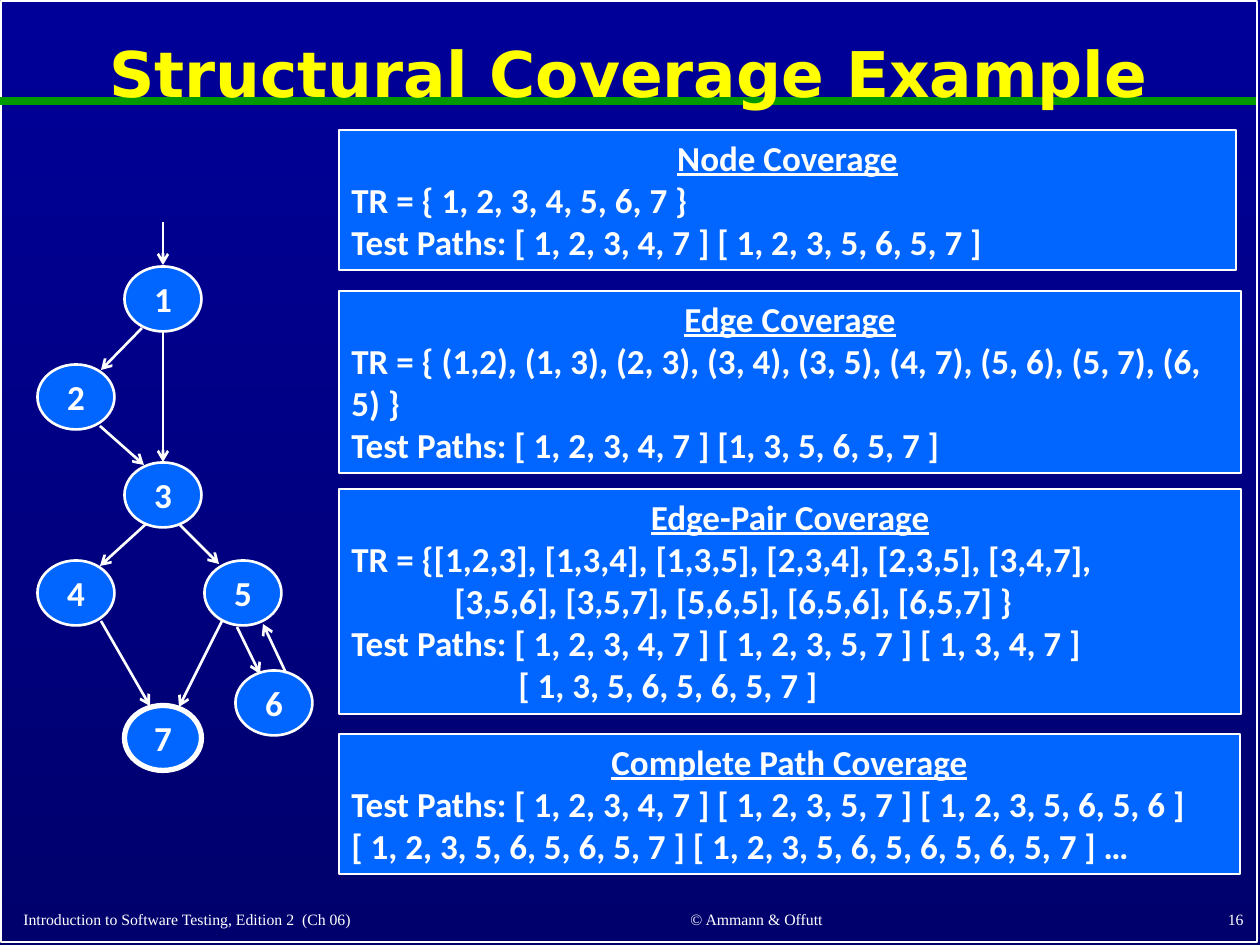
from lxml.etree import SubElement
from pptx import Presentation
from pptx.dml.color import RGBColor
from pptx.enum.shapes import MSO_CONNECTOR, MSO_SHAPE
from pptx.enum.text import MSO_ANCHOR, PP_ALIGN
from pptx.oxml.ns import qn
from pptx.util import Emu, Pt

NAVY = RGBColor(0x00, 0x00, 0x99)
DARK_NAVY = RGBColor(0x00, 0x00, 0x6D)
BLUE = RGBColor(0x00, 0x66, 0xFF)
GREEN = RGBColor(0x00, 0x99, 0x00)
YELLOW = RGBColor(0xFF, 0xFF, 0x00)
WHITE = RGBColor(0xFF, 0xFF, 0xFF)

PX = 914400 / 126
NODE_W, NODE_H = 77, 65


def px(length):
    return Emu(round(length * PX))


class SlideBuilder:
    """Current slide and its shared style."""

    body_font, title_font, footer_font = "Calibri", "DejaVu Sans", "Times New Roman"

    def __init__(self, slide):
        self.slide = slide
        self.shapes = slide.shapes

    def background(self, top, bottom):
        fill = self.slide.background.fill
        fill.gradient()
        fill.gradient_angle = 270
        for stop, color in zip(fill.gradient_stops, (top, bottom)):
            stop.color.rgb = color

    def add_text(self, paragraph, text, size, font, color=WHITE, bold=True,
                 align=PP_ALIGN.LEFT, underline=False):
        paragraph.alignment = align
        run = paragraph.add_run()
        run.text = text
        run.font.size = Pt(size)
        run.font.name = font
        run.font.bold = bold
        run.font.underline = underline
        run.font.color.rgb = color

    def shape(self, kind, box, fill=BLUE, line_width=1.0):
        shape = self.shapes.add_shape(kind, *map(px, box))
        shape.shadow.inherit = False
        if fill is None:
            shape.fill.background()
        else:
            shape.fill.solid()
            shape.fill.fore_color.rgb = fill
        shape.line.color.rgb = WHITE
        shape.line.width = Pt(line_width)
        return shape

    def line(self, start, end, color=WHITE, width=1.5, arrow=True):
        line = self.shapes.add_connector(
            MSO_CONNECTOR.STRAIGHT, *map(px, (*start, *end)))
        line.line.color.rgb = color
        line.line.width = Pt(width)
        if arrow:
            SubElement(line.line._get_or_add_ln(), qn("a:tailEnd"), type="arrow")
        SubElement(line._element.spPr, qn("a:effectLst"))

    def title(self, text, box):
        title = self.shapes.title
        title.left, title.top, title.width, title.height = map(px, box)
        frame = title.text_frame
        frame.word_wrap = True
        frame.vertical_anchor = MSO_ANCHOR.MIDDLE
        paragraph = frame.paragraphs[0]
        paragraph.line_spacing = 0.9
        self.add_text(paragraph, text, 36, self.title_font, YELLOW, align=PP_ALIGN.CENTER)
        # Bring the title in front of the rule
        self.shapes._spTree.append(title._element)

    def footer(self, text, box, align):
        frame = self.shapes.add_textbox(*map(px, box)).text_frame
        frame.word_wrap = True
        frame.vertical_anchor = MSO_ANCHOR.BOTTOM
        self.add_text(frame.paragraphs[0], text, 9, self.footer_font, bold=False, align=align)

    def node(self, label, center, line_width):
        x, y = center
        box = (x - NODE_W / 2, y - NODE_H / 2, NODE_W, NODE_H)
        frame = self.shape(MSO_SHAPE.OVAL, box, line_width=line_width).text_frame
        frame.margin_left = frame.margin_right = 0
        frame.margin_top = frame.margin_bottom = 0
        frame.vertical_anchor = MSO_ANCHOR.MIDDLE
        self.add_text(frame.paragraphs[0], label, 20, self.body_font, align=PP_ALIGN.CENTER)

    def panel(self, heading, lines, box):
        frame = self.shape(MSO_SHAPE.RECTANGLE, box).text_frame
        frame.word_wrap = True
        frame.vertical_anchor = MSO_ANCHOR.TOP
        self.add_text(frame.paragraphs[0], heading, 20, self.body_font,
                      align=PP_ALIGN.CENTER, underline=True)
        for text, indent in lines:
            paragraph = frame.add_paragraph()
            if indent:
                paragraph._p.get_or_add_pPr().set("marL", str(px(indent)))
            self.add_text(paragraph, text, 20, self.body_font)


# Node centres and edge end points of the control flow graph
NODES = {
    "1": (163, 299), "2": (76, 397), "3": (163, 495), "4": (76, 593),
    "5": (243, 593), "6": (274, 703), "7": (163, 738),
}
FINAL_NODE = "7"
EDGES = [
    ((163, 222), (163, 265)),  # entry
    ((142, 328), (101, 370)),  # 1 to 2
    ((163, 332), (163, 462)),  # 1 to 3
    ((100, 426), (144, 465)),  # 2 to 3
    ((146, 524), (100, 566)),  # 3 to 4
    ((180, 525), (219, 564)),  # 3 to 5
    ((101, 621), (150, 706)),  # 4 to 7
    ((222, 621), (179, 707)),  # 5 to 7
    ((237, 627), (260, 674)),  # 5 to 6
    ((286, 673), (263, 624)),  # 6 to 5
]

# Heading, (text, indent) lines, top, width, height
PANEL_LEFT = 339
PANELS = [
    ("Node Coverage", [
        ("TR = { 1, 2, 3, 4, 5, 6, 7 }", 0),
        ("Test Paths: [ 1, 2, 3, 4, 7 ] [ 1, 2, 3, 5, 6, 5, 7 ]", 0),
    ], 130, 897, 140),
    ("Edge Coverage", [
        ("TR = { (1,2), (1, 3), (2, 3), (3, 4), (3, 5), (4, 7), (5, 6), (5, 7), (6, 5) }", 0),
        ("Test Paths: [ 1, 2, 3, 4, 7 ] [1, 3, 5, 6, 5, 7 ]", 0),
    ], 291, 902, 182),
    ("Edge-Pair Coverage", [
        ("TR = {[1,2,3], [1,3,4], [1,3,5], [2,3,4], [2,3,5], [3,4,7],", 0),
        ("[3,5,6], [3,5,7], [5,6,5], [6,5,6], [6,5,7] }", 103),
        ("Test Paths: [ 1, 2, 3, 4, 7 ] [ 1, 2, 3, 5, 7 ] [ 1, 3, 4, 7 ]", 0),
        ("[ 1, 3, 5, 6, 5, 6, 5, 7 ]", 167),
    ], 489, 902, 225),
    ("Complete Path Coverage", [
        ("Test Paths: [ 1, 2, 3, 4, 7 ] [ 1, 2, 3, 5, 7 ] [ 1, 2, 3, 5, 6, 5, 6 ] "
         "[ 1, 2, 3, 5, 6, 5, 6, 5, 7 ] [ 1, 2, 3, 5, 6, 5, 6, 5, 6, 5, 7 ] …", 0),
    ], 734, 901, 140),
]


def main():
    deck = Presentation()
    deck.slide_width, deck.slide_height = px(1260), px(945)
    builder = SlideBuilder(deck.slides.add_slide(deck.slide_layouts[5]))

    # Background, frame and title
    builder.background(NAVY, DARK_NAVY)
    builder.shape(MSO_SHAPE.RECTANGLE, (1, 1, 1256, 941), fill=None)
    builder.line((0, 101), (1256, 101), GREEN, 4.5, arrow=False)
    builder.title("Structural Coverage Example", (11, 14, 1235, 126))

    # Footer
    builder.footer("Introduction to Software Testing, Edition 2  (Ch 06)",
                   (11, 897, 519, 38), PP_ALIGN.LEFT)
    builder.footer("© Ammann & Offutt", (557, 896, 399, 39), PP_ALIGN.CENTER)
    builder.footer("16", (994, 895, 262, 40), PP_ALIGN.RIGHT)

    # Control flow graph
    for label, center in NODES.items():
        builder.node(label, center, 3 if label == FINAL_NODE else 1.5)
    for start, end in EDGES:
        builder.line(start, end)

    # Coverage criteria
    for heading, lines, top, width, height in PANELS:
        builder.panel(heading, lines, (PANEL_LEFT, top, width, height))

    deck.save("out.pptx")


if __name__ == "__main__":
    main()
